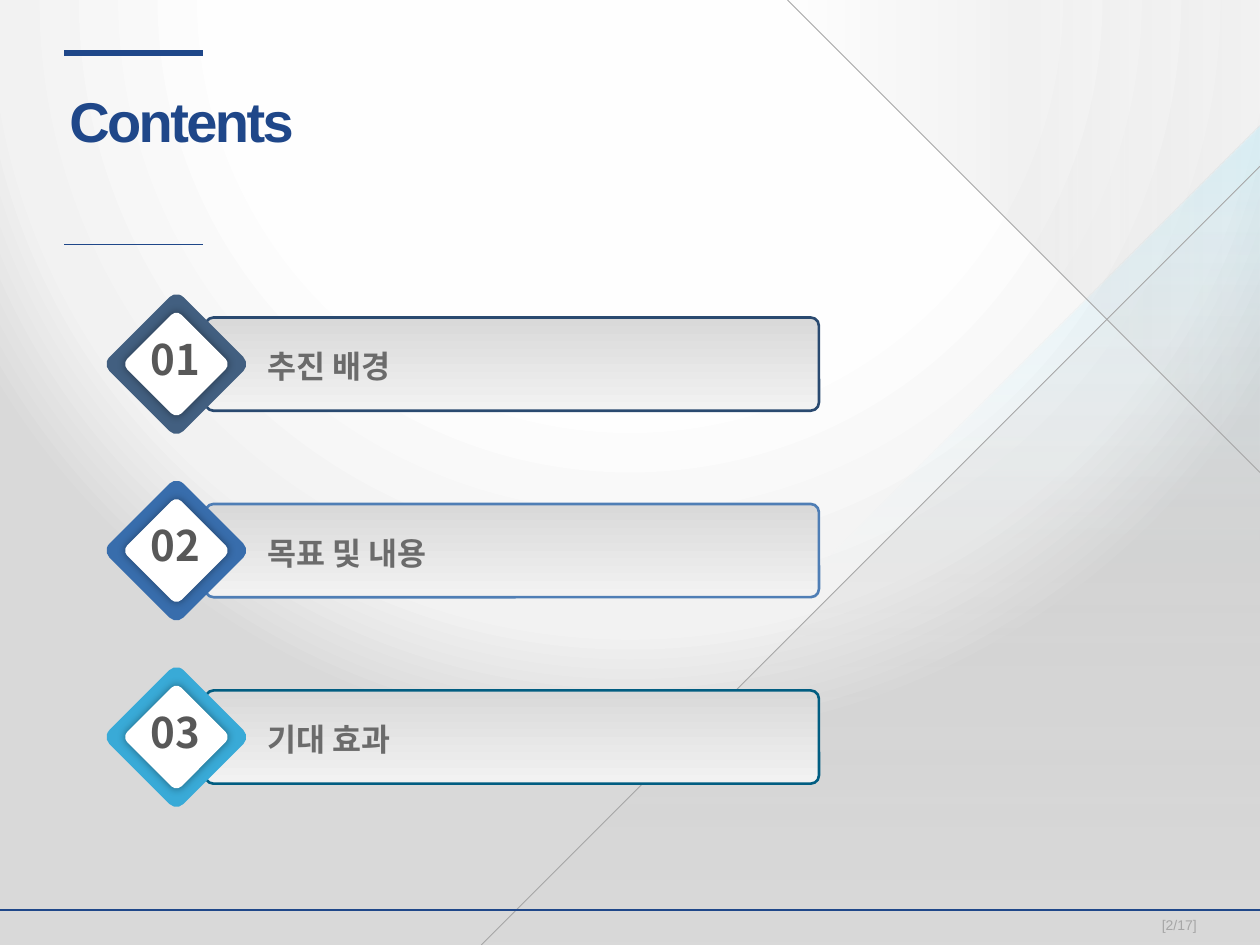
import pptx
import pptx.dml.color
import pptx.enum.shapes
import pptx.enum.text
import pptx.oxml
import pptx.oxml.ns
import pptx.util

COLORS = {
    "navy": "1F4789", "white": "FFFFFF", "gray": "A6A6A6", "shade": "BFBFBF",
    "number": "585858", "label": "6B6B6B",
}
HEADING = "Contents"
PAGE_NUMBER = "[2/17]"
ITEMS = [
    ("01", "추진 배경", "425F80", "2A4A70"),
    ("02", "목표 및 내용", "386DAC", "4F7EB5"),
    ("03", "기대 효과", "39AAD7", "015D81"),
]
BACKDROP = [(0, "FFFFFF", 100), (50, "FEFEFE", 100), (80, "F2F2F2", 100), (95, "D9D9D9", 100)]
GLOW = [(0, "BFBFBF", 0), (50, "D0F3FE", 0), (100, "A1E7FC", 30)]
SHADE = [(0, COLORS["shade"], 0), (50, COLORS["shade"], 20), (100, COLORS["shade"], 0)]
BAR = [(1, "F2F2F2", 100), (99, "D9D9D9", 100)]
CIRCLE = '<a:path path="circle"><a:fillToRect l="50000" t="-80000" r="50000" b="180000"/></a:path>'
WIDTH, HEIGHT = 10, 7.5
FIRST_CENTER, ROW_PITCH, DIAMOND_X = 2.89, 1.48, 1.4
SHAPE = pptx.enum.shapes.MSO_SHAPE
MIDDLE = pptx.enum.text.MSO_ANCHOR.MIDDLE
CENTER = pptx.enum.text.PP_ALIGN.CENTER
NAMESPACE = pptx.oxml.ns.nsdecls("a")

deck = pptx.Presentation()
deck.slide_width = pptx.util.Inches(WIDTH)
deck.slide_height = pptx.util.Inches(HEIGHT)
page = deck.slides.add_slide(deck.slide_layouts[5])


def inches(*values):
    return [pptx.util.Inches(value) for value in values]


def rgb(color):
    return pptx.dml.color.RGBColor.from_string(color)


def linear(angle):
    return f'<a:lin ang="{angle * 60000}" scaled="0"/>'


def paint_gradient(element, fill, stops, direction):
    fill.background()
    marks = "".join(
        f'<a:gs pos="{position * 1000}"><a:srgbClr val="{color}">'
        f'<a:alpha val="{opacity * 1000}"/></a:srgbClr></a:gs>'
        for position, color, opacity in stops)
    gradient = pptx.oxml.parse_xml(
        f'<a:gradFill {NAMESPACE} rotWithShape="1"><a:gsLst>{marks}</a:gsLst>{direction}</a:gradFill>')
    blank = next(element.iter(pptx.oxml.ns.qn("a:noFill")))
    blank.getparent().replace(blank, gradient)


def add_box(kind, left, top, width, height, color=None, rotation=0, corner=None):
    box = page.shapes.add_shape(kind, *inches(left, top, width, height))
    box.shadow.inherit = False
    box.rotation = rotation
    box.line.fill.background()
    if corner:
        box.adjustments[0] = corner
    if color:
        box.fill.solid()
        box.fill.fore_color.rgb = rgb(color)
    else:
        box.fill.background()
    return box


def add_line(start, end, color, weight):
    line = page.shapes.add_connector(
        pptx.enum.shapes.MSO_CONNECTOR.STRAIGHT, *inches(*start, *end))
    line.line.color.rgb = rgb(color)
    line.line.width = pptx.util.Pt(weight)
    line._element.spPr.append(pptx.oxml.parse_xml(f"<a:effectLst {NAMESPACE}/>"))


def write(box, text, size, color, font, bold=False, align=None, insets=(0, 0, 0, 0), wrap=True):
    frame = box.text_frame
    frame.text = text
    frame.word_wrap = wrap
    frame.vertical_anchor = MIDDLE
    frame.margin_left, frame.margin_top, frame.margin_right, frame.margin_bottom = inches(*insets)
    para = frame.paragraphs[0]
    para.alignment = align or pptx.enum.text.PP_ALIGN.LEFT
    para.font.size = pptx.util.Pt(size)
    para.font.name = font
    para.font.bold = bold
    para.font.color.rgb = rgb(color)
    return para


def add_item(center, number, label, accent, outline):
    bar = add_box(SHAPE.ROUNDED_RECTANGLE, 1.63, center - 0.37, 4.87, 0.74, corner=0.088)
    paint_gradient(bar._element, bar.fill, BAR, linear(270))
    bar.line.color.rgb = rgb(outline)
    bar.line.width = pptx.util.Pt(1.5)
    for side, color in ((0.83, accent), (0.61, COLORS["white"])):
        diamond = add_box(SHAPE.ROUNDED_RECTANGLE, DIAMOND_X - side / 2, center - side / 2,
                          side, side, color, 45, 0.094)
    effects = diamond._element.spPr.find(pptx.oxml.ns.qn("a:effectLst"))
    effects.append(pptx.oxml.parse_xml(
        f'<a:outerShdw {NAMESPACE} blurRad="63500" dist="0" dir="0" algn="ctr" rotWithShape="0">'
        '<a:srgbClr val="000000"><a:alpha val="40000"/></a:srgbClr></a:outerShdw>'))
    badge = add_box(SHAPE.OVAL, 1.1, center - 0.26, 0.58, 0.43)
    write(badge, number, 24, COLORS["number"], "Noto Sans CJK KR", True, CENTER,
          (0.1, 0.05, 0.1, 0.05), False)
    caption = page.shapes.add_textbox(*inches(2, center - 0.26, 5.34, 0.51))
    write(caption, label, 18, COLORS["label"], "Arial", True, insets=(0.12, 0.12, 0.16, 0.08))


paint_gradient(page._element, page.background.fill, BACKDROP, CIRCLE)

outline = page.shapes.build_freeform(WIDTH, HEIGHT, scale=pptx.util.Inches(1))
outline.add_line_segments([(3.38, HEIGHT), (WIDTH, 0.92)], close=True)
glow = outline.convert_to_shape()
glow.shadow.inherit = False
paint_gradient(glow._element, glow.fill, GLOW, linear(270))
glow.line.fill.background()

for side, top, rotation in ((6.18, HEIGHT - 6.18, 270), (3.75, 0, 180)):
    corner = add_box(SHAPE.RIGHT_TRIANGLE, WIDTH - side, top, side, side, rotation=rotation)
    paint_gradient(corner._element, corner.fill, SHADE, linear(0))

for start, end, color, weight in (
    ((3.82, HEIGHT), (WIDTH, 1.32), COLORS["gray"], 0.5),
    ((6.25, 0), (WIDTH, 3.75), COLORS["gray"], 0.5),
    ((0, 7.22), (WIDTH, 7.22), COLORS["navy"], 1),
    ((0.51, 0.42), (1.61, 0.42), COLORS["navy"], 3),
    ((0.51, 1.94), (1.61, 1.94), COLORS["navy"], 1),
):
    add_line(start, end, color, weight)

title = page.shapes.title
title.left, title.top, title.width, title.height = inches(0.55, 0.6, 3.54, 0.71)
heading = write(title, HEADING, 32, COLORS["navy"], "Arial", True)
heading.runs[0]._r.get_or_add_rPr().set("spc", "-150")

footer = page.shapes.add_textbox(*inches(8.72, 7.24, 1.28, 0.2))
write(footer, PAGE_NUMBER, 8, COLORS["gray"], "Arial", align=CENTER)

for row, item in enumerate(ITEMS):
    add_item(FIRST_CENTER + row * ROW_PITCH, *item)

deck.save("out.pptx")
